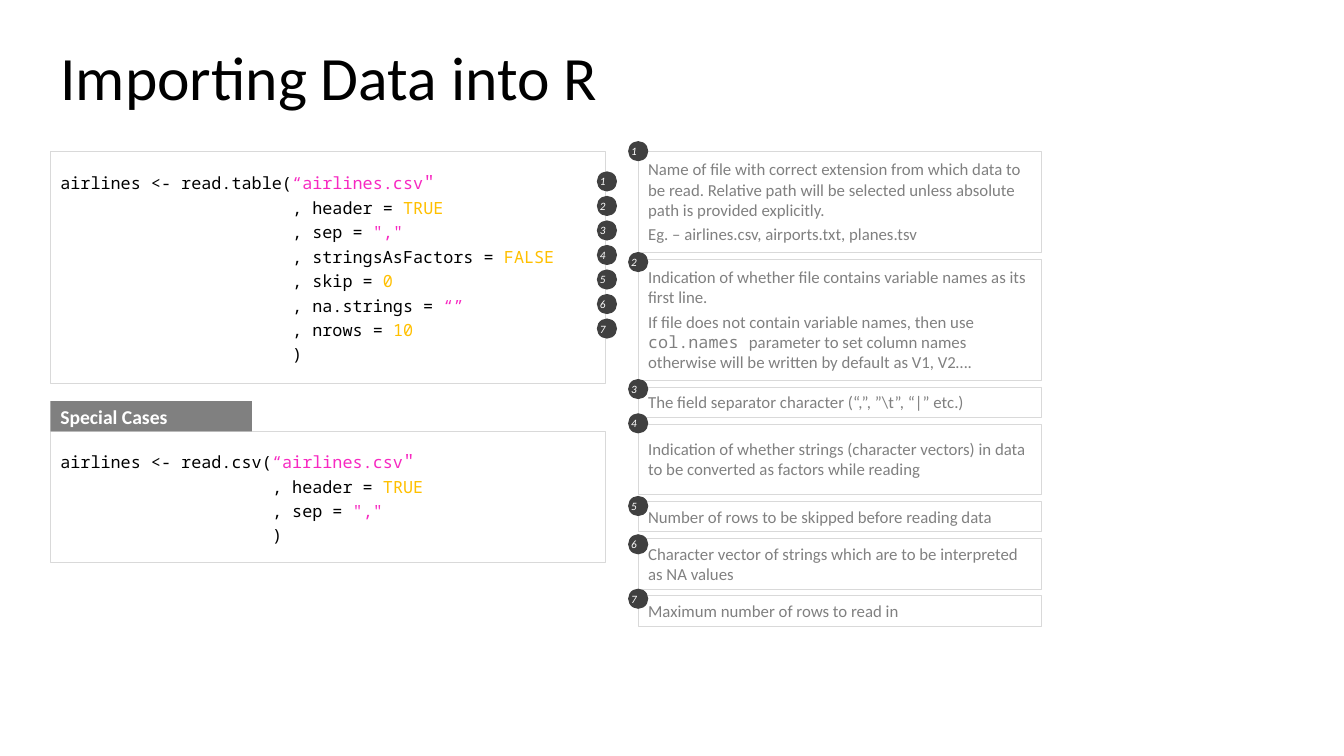
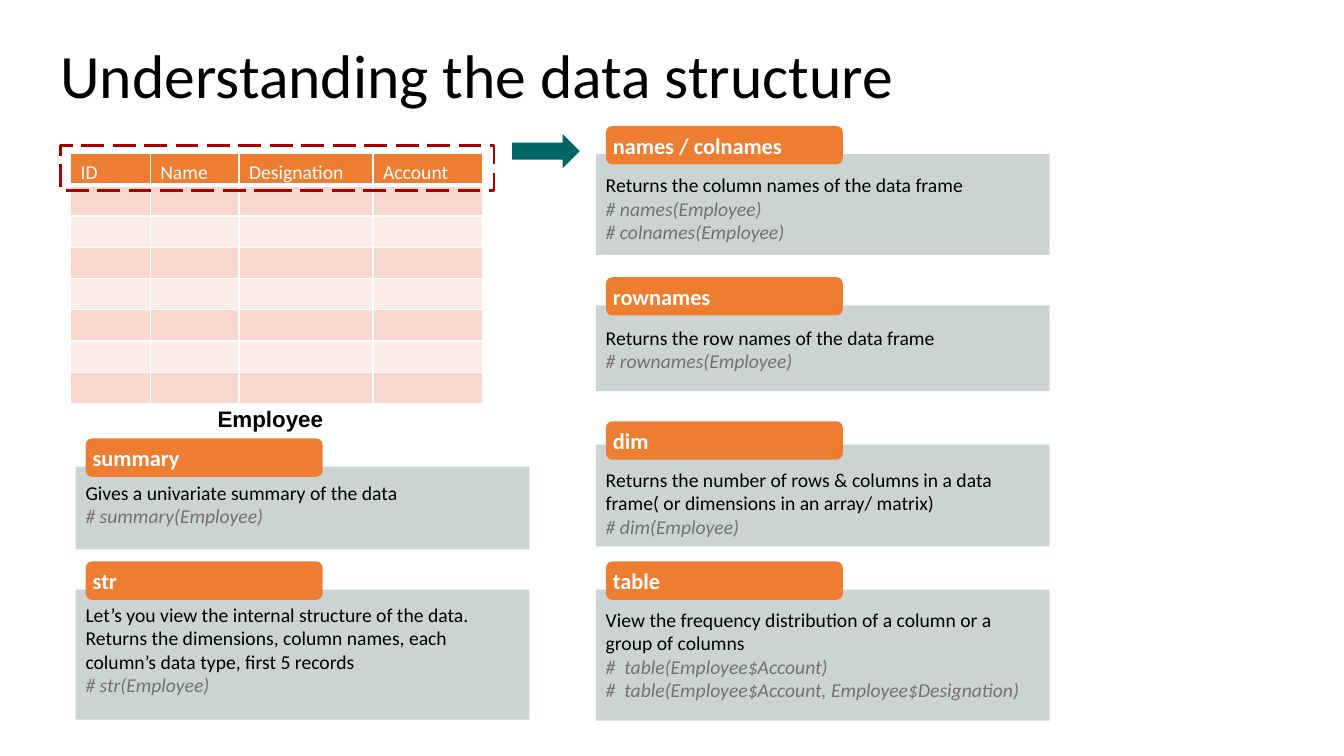
from lxml import etree
from pptx import Presentation
from pptx.dml.color import RGBColor
from pptx.enum import dml, shapes, text
from pptx.oxml import ns
from pptx.util import Inches, Pt

COLORS = {
    "black": "000000", "white": "FFFFFF", "gray": "808080", "border": "D9D9D9",
    "badge": "404040", "string": "F729C1", "value": "FFC000", "orange": "ED7D31",
    "card": "CBD3D3", "code": "767171", "arrow": "006666", "dash": "AA0000",
    "row_dark": "F8D7CE", "row_light": "FCECE8",
}
BODY, MONO = "Calibri", "Noto Sans Mono"
SHAPE = shapes.MSO_SHAPE
TOP, MIDDLE = text.MSO_ANCHOR.TOP, text.MSO_ANCHOR.MIDDLE


def rgb(name):
    return RGBColor.from_string(COLORS[name])


# Text: each paragraph is a string or a list of strings and (string, format) pairs
def write(tf, paragraphs, anchor=TOP, insets=(0.1, 0.05, 0.1, 0.05), wrap=True,
          before=0, spacing=None, indents=(), **fmt):
    tf.word_wrap = wrap
    tf.auto_size = text.MSO_AUTO_SIZE.NONE
    tf.vertical_anchor = anchor
    tf.margin_left, tf.margin_top, tf.margin_right, tf.margin_bottom = map(Inches, insets)
    for i, runs in enumerate(paragraphs):
        p = tf.paragraphs[0] if i == 0 else tf.add_paragraph()
        p.alignment = text.PP_ALIGN.LEFT
        p.space_before = Pt(before)
        if spacing:
            p.line_spacing = spacing
        if i < len(indents):
            p._p.get_or_add_pPr().set("marL", str(Inches(indents[i])))
        for run in [runs] if isinstance(runs, str) else runs:
            words, own = (run, {}) if isinstance(run, str) else run
            r = p.add_run()
            r.text = words
            style_run(r, **{**fmt, **own})


def style_run(r, size=12, font=BODY, color="black", bold=False, italic=False):
    r.font.size, r.font.name = Pt(size), font
    r.font.bold, r.font.italic = bold, italic
    r.font.color.rgb = rgb(color)


# Shapes
def add_box(s, kind, at, fill=None, line=None, width=0.25):
    sp = s.shapes.add_shape(kind, *map(Inches, at))
    sp.shadow.inherit = False
    if fill:
        sp.fill.solid()
        sp.fill.fore_color.rgb = rgb(fill)
    else:
        sp.fill.background()
    if line:
        sp.line.color.rgb = rgb(line)
        sp.line.width = Pt(width)
    else:
        sp.line.fill.background()
    return sp


def add_text(s, at, paragraphs, **fmt):
    write(s.shapes.add_textbox(*map(Inches, at)).text_frame, paragraphs, **fmt)


def add_titled_slide(prs, title, top):
    s = prs.slides.add_slide(prs.slide_layouts[5])
    sp = s.shapes.title
    sp.left, sp.top, sp.width, sp.height = map(Inches, (0.5, top, 9.83, 0.92))
    write(sp.text_frame, [title], size=44, spacing=0.9)
    return s


# Elements of the import slide
def add_code(s, top, height, call, arguments, indent):
    sp = add_box(s, SHAPE.RECTANGLE, (0.5, top, 5.5, height), "white", "border")
    pink = {"color": "string"}
    lines = [[call, ("“airlines.csv", pink), ('"', {**pink, "size": 14})]]
    lines += [[f", {name} = ", (value, {"color": color})]
              for name, value, color in arguments]
    lines.append(")")
    write(sp.text_frame, lines, anchor=MIDDLE, insets=(0.1,) * 4, before=3, font=MONO,
          indents=[0] + [indent] * (len(lines) - 1))


def add_note(s, top, height, paragraphs):
    sp = add_box(s, SHAPE.RECTANGLE, (6.33, top, 4, height), "white", "border")
    write(sp.text_frame, paragraphs, anchor=MIDDLE, insets=(0.1, 0, 0.1, 0),
          before=3, color="gray")


def add_badge(s, left, top, number):
    sp = add_box(s, SHAPE.OVAL, (left, top, 0.2, 0.2), "badge")
    write(sp.text_frame, [str(number)], anchor=MIDDLE, insets=(0,) * 4, wrap=False,
          size=8, color="white", italic=True)


# Elements of the structure slide
def add_card(s, left, top, height, tab_top, text_top, label, description, *code):
    add_box(s, SHAPE.RECTANGLE, (left, top, 4.5, height), "card")
    tab = add_box(s, SHAPE.ROUNDED_RECTANGLE, (left + 0.1, tab_top, 2.35, 0.38), "orange")
    write(tab.text_frame, [label], anchor=MIDDLE, insets=(0.05,) * 4, wrap=False,
          size=16, color="white", bold=True)
    example = {"color": "code", "italic": True}
    add_text(s, (left, text_top, 4.5, top + height - text_top),
             [description] + [[(line, example)] for line in code], size=14)


def set_borders(cell, bottom):
    tcPr = cell._tc.get_or_add_tcPr()
    for i, (side, width) in enumerate((("L", 1), ("R", 1), ("T", 1), ("B", bottom))):
        ln = etree.Element(ns.qn(f"a:ln{side}"), w=str(Pt(width)))
        fill = etree.SubElement(ln, ns.qn("a:solidFill"))
        etree.SubElement(fill, ns.qn("a:srgbClr"), val=COLORS["white"])
        tcPr.insert(i, ln)


def add_employee_table(s, left, top, headers, widths, row_count, row_height):
    frame = s.shapes.add_table(row_count, len(headers), Inches(left), Inches(top),
                               Inches(sum(widths)), Inches(row_count * row_height))
    table = frame.table
    table.first_row = table.horz_banding = False
    for column, width in zip(table.columns, widths):
        column.width = Inches(width)
    for i, row in enumerate(table.rows):
        row.height = Inches(row_height)
        for cell, header in zip(row.cells, headers):
            cell.fill.solid()
            cell.margin_left, cell.margin_right = Inches(0.1), Inches(0.08)
            cell.margin_top, cell.margin_bottom = Inches(0.06), 0
            p = cell.text_frame.paragraphs[0]
            if i == 0:
                cell.fill.fore_color.rgb = rgb("orange")
                p.line_spacing = 1.07
                r = p.add_run()
                r.text = header
                style_run(r, size=14, color="white")
            else:
                cell.fill.fore_color.rgb = rgb("row_dark" if i % 2 else "row_light")
                etree.SubElement(p._p, ns.qn("a:endParaRPr"), sz="1000")
            set_borders(cell, 3 if i == 0 else 1)


def build_import_slide(prs):
    s = add_titled_slide(prs, "Importing Data into R", 0.42)
    header = ("header", "TRUE", "value")
    sep = ("sep", '","', "string")
    arguments = [header, sep, ("stringsAsFactors", "FALSE", "value"),
                 ("skip", "0", "value"), ("na.strings", "“”", "string"),
                 ("nrows", "10", "value")]
    add_code(s, 1.5, 2.3, "airlines <- read.table(", arguments, 2.3)
    add_code(s, 4.28, 1.3, "airlines <- read.csv(", [header, sep], 2.1)
    heading = add_box(s, SHAPE.RECTANGLE, (0.5, 3.98, 2, 0.3), "gray")
    write(heading.text_frame, ["Special Cases"], anchor=MIDDLE, insets=(0.1, 0, 0.1, 0),
          before=3, size=14, color="white", bold=True)

    # Numbered explanations: height, badge top, paragraphs
    notes = [
        (1, 1.4, ["Name of file with correct extension from which data to be read. "
                  "Relative path will be selected unless absolute path is provided "
                  "explicitly.",
                  "Eg. – airlines.csv, airports.txt, planes.tsv"]),
        (1.2, 2.5, ["Indication of whether file contains variable names as its first line.",
                    ["If file does not contain variable names, then use ",
                     ("col.names ", {"font": MONO}),
                     "parameter to set column names otherwise will be written by "
                     "default as V1, V2…."]]),
        (0.3, 3.76, ["The field separator character (“,”, ”\\t”, “|” etc.)"]),
        (0.7, 4.1, ["Indication of whether strings (character vectors) in data to be "
                    "converted as factors while reading"]),
        (0.3, 4.92, ["Number of rows to be skipped before reading data"]),
        (0.5, 5.3, ["Character vector of strings which are to be interpreted as NA values"]),
        (0.3, 5.84, ["Maximum number of rows to read in"]),
    ]
    top, gap = 1.5, 0.41 / 6
    for height, _, paragraphs in notes:
        add_note(s, top, height, paragraphs)
        top += height + gap
    for i, (_, badge_top, _) in enumerate(notes):
        add_badge(s, 5.92, 1.7 + i * 1.46 / 6, i + 1)
        add_badge(s, 6.23, badge_top, i + 1)


def build_structure_slide(prs):
    s = add_titled_slide(prs, "Understanding the data structure", 0.4)
    add_employee_table(s, 0.7, 1.52, ["ID", "Name", "Designation", "Account"],
                       [0.79, 0.88, 1.33, 1.09], 8, 0.31)
    add_box(s, SHAPE.RIGHT_ARROW, (5.08, 1.33, 0.67, 0.34), "arrow")
    outline = add_box(s, SHAPE.RECTANGLE, (0.6, 1.44, 4.3, 0.45), line="dash", width=2.04)
    outline.line.dash_style = dml.MSO_LINE.LONG_DASH
    add_text(s, (0.33, 3.95, 4.07, 0.39), ["Employee"], indents=[1.73], spacing=1.08,
             size=16, font="Arial", bold=True)

    # Function cards: top, height, tab top, text top, label, description, examples
    left, right = 0.75, 5.91
    add_card(s, right, 1.53, 1, 1.25, 1.67, "names / colnames",
             "Returns the column names of the data frame",
             "# names(Employee)", "# colnames(Employee)")
    add_card(s, right, 3.03, 0.85, 2.75, 3.18, "rownames",
             "Returns the row names of the data frame", "# rownames(Employee)")
    add_card(s, right, 4.41, 1.01, 4.18, 4.59, "dim",
             "Returns the number of rows & columns in a data frame( or dimensions in "
             "an array/ matrix)", "# dim(Employee)")
    add_card(s, left, 4.63, 0.82, 4.35, 4.72, "summary",
             "Gives a univariate summary of the data", "# summary(Employee)")
    add_card(s, left, 5.85, 1.29, 5.57, 5.93, "str",
             "Let’s you view the internal structure of the data. Returns the dimensions, "
             "column names, each column’s data type, first 5 records", "# str(Employee)")
    add_card(s, right, 5.85, 1.3, 5.57, 5.98, "table",
             "View the frequency distribution of a column or a group of columns",
             "#  table(Employee$Account)",
             "#  table(Employee$Account, Employee$Designation)")


def main():
    prs = Presentation()
    prs.slide_width, prs.slide_height = Inches(13.33), Inches(7.5)
    build_import_slide(prs)
    build_structure_slide(prs)
    prs.save("out.pptx")


main()
